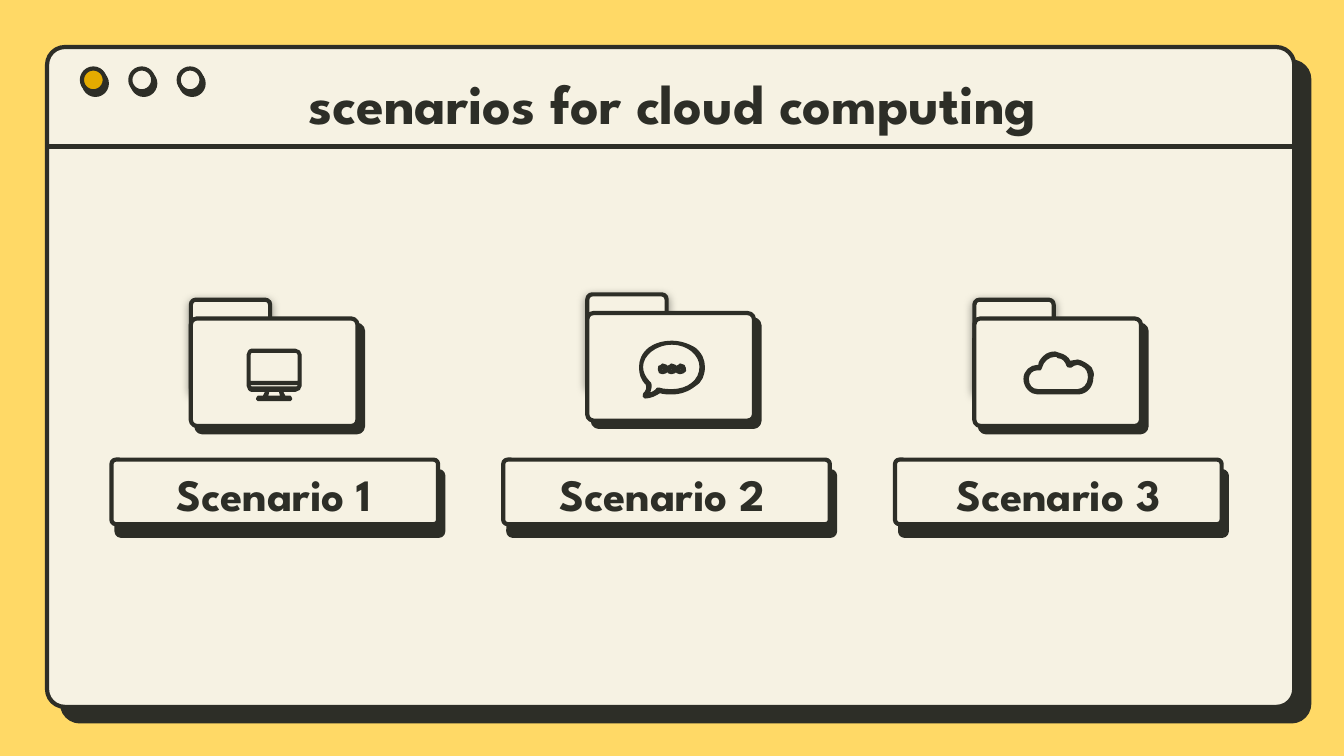
from lxml.etree import SubElement
from pptx import Presentation
from pptx.dml.color import RGBColor
from pptx.enum.shapes import MSO_CONNECTOR, MSO_SHAPE
from pptx.enum.text import MSO_ANCHOR, PP_ALIGN
from pptx.oxml.ns import qn
from pptx.util import Inches, Pt

YELLOW = RGBColor(0xFF, 0xD9, 0x66)
CREAM = RGBColor(0xF6, 0xF2, 0xE3)
INK = RGBColor(0x2D, 0x2E, 0x27)
AMBER = RGBColor(0xE4, 0xAB, 0x00)

COLS, ROWS = 100, 56.25
ICON_UNIT = 0.1

MONITOR = [
    [(36, 2), (37, 2, 38, 3, 38, 4), (38, 24), (2, 24), (2, 4), (2, 3, 3, 2, 3, 2)],
    [(38, 26), (38, 27), (38, 28, 37, 28, 36, 28), (3, 28), (3, 28, 2, 28, 2, 27), (2, 26)],
    [(24, 31), (25, 35), (15, 35), (16, 31)],
    [(3, 0), (2, 0, 0, 2, 0, 4), (0, 27), (0, 29, 2, 31, 3, 31), (14, 31), (12, 35),
     (8, 35), (8, 35, 7, 36, 7, 37), (7, 37, 8, 38, 8, 38), (32, 38),
     (32, 38, 33, 37, 33, 37), (33, 36, 32, 35, 32, 35), (28, 35), (26, 31), (36, 31),
     (38, 31, 40, 29, 40, 27), (40, 4), (40, 2, 38, 0, 36, 0)],
]
BUBBLE = [
    [(24, 2), (36, 2, 45, 10, 45, 19), (45, 29, 36, 36, 24, 36), (21, 36, 18, 36, 15, 35),
     (13, 35), (12, 37, 9, 38, 7, 39), (8, 36, 9, 33, 8, 31), (8, 31, 8, 30, 7, 30),
     (4, 27, 2, 23, 2, 19), (2, 10, 12, 2, 24, 2)],
    [(24, 0), (17, 0, 11, 2, 7, 5), (2, 9, 0, 14, 0, 19), (0, 24, 1, 28, 5, 32),
     (6, 35, 5, 37, 3, 39), (2, 40, 3, 42, 4, 42), (8, 42, 12, 40, 15, 38),
     (18, 39, 21, 39, 24, 39), (30, 39, 36, 37, 41, 33), (46, 30, 48, 25, 48, 19),
     (48, 14, 46, 9, 41, 5), (36, 2, 30, 0, 24, 0)],
]
CLOUD = [
    [(23, 3), (24, 3, 25, 3, 25, 4), (29, 4, 31, 7, 32, 10), (32, 11, 33, 11, 34, 11),
     (35, 11), (36, 10, 38, 9, 40, 9), (41, 9, 42, 10, 43, 10), (47, 12, 48, 15, 48, 19),
     (48, 24, 44, 28, 40, 28), (10, 28), (6, 28, 3, 25, 3, 20), (3, 16, 6, 13, 10, 13),
     (12, 13), (12, 13, 13, 12, 13, 11), (14, 7, 18, 3, 23, 3)],
    [(23, 0), (20, 0, 17, 1, 15, 3), (13, 5, 11, 7, 11, 10), (10, 10), (5, 10, 0, 14, 0, 20),
     (0, 26, 5, 31, 10, 31), (40, 31), (46, 31, 51, 26, 51, 19), (52, 16, 51, 14, 50, 12),
     (48, 10, 47, 9, 45, 8), (43, 7, 41, 6, 40, 6), (38, 6, 36, 7, 34, 7),
     (33, 4, 30, 2, 26, 1), (25, 0, 24, 0, 23, 0)],
]
DOT = [
    [(3, 3), (4, 3, 5, 4, 4, 4), (4, 5, 4, 5, 3, 5), (3, 5, 2, 4, 2, 4), (2, 3, 3, 3, 3, 3)],
    [(3, 0), (3, 0, 2, 1, 2, 1), (0, 1, 0, 2, 0, 4), (0, 6, 1, 7, 3, 7),
     (5, 7, 6, 6, 7, 5), (7, 4, 7, 2, 6, 1), (5, 1, 4, 0, 3, 0)],
]

SCENARIOS = [
    ("Scenario 1", (10.8, 33.8, 19.2, 5.8), (14.2, 22.3), [(MONITOR, 18.4, 26)]),
    ("Scenario 2", (38.6, 33.7, 21.4, 6), (43.7, 21.9),
     [(BUBBLE, 47.6, 25.4)] + [(DOT, 49 + 0.65 * i, 27.1) for i in range(3)]),
    ("Scenario 3", (68.2, 33.7, 21.1, 6), (72.5, 22.3), [(CLOUD, 76.2, 26.2)]),
]


class Deck:
    """Hold the style and the current slide, and draw on a grid of columns and rows."""

    def __init__(self):
        self.prs = Presentation()
        self.prs.slide_width, self.prs.slide_height = Inches(10), Inches(5.625)
        self.col = self.prs.slide_width / COLS
        self.row = self.prs.slide_height / ROWS
        self.s = self.prs.slides.add_slide(self.prs.slide_layouts[6])
        self.s.background.fill.solid()
        self.s.background.fill.fore_color.rgb = YELLOW

    def grid(self, *lengths):
        """Turn alternating columns and rows into slide lengths."""
        return [round(n * (self.row if i % 2 else self.col)) for i, n in enumerate(lengths)]

    def paint(self, sp, fill, width=2.25):
        """Fill and outline a shape without a shadow."""
        sp.fill.solid()
        sp.fill.fore_color.rgb = fill
        sp.line.color.rgb = INK
        sp.line.width = Pt(width)
        sp.shadow.inherit = False

    def panel(self, box, dist, angle, adj=None, fill=CREAM, blur=0, alpha=100):
        """Draw a rounded panel, or a circle when no corner is given, with its shadow."""
        kind = MSO_SHAPE.OVAL if adj is None else MSO_SHAPE.ROUNDED_RECTANGLE
        sp = self.s.shapes.add_shape(kind, *self.grid(*box))
        if adj is not None:
            sp.adjustments[0] = adj
        self.paint(sp, fill)
        effects = sp._element.spPr.find(qn("a:effectLst"))
        shadow = SubElement(effects, qn("a:outerShdw"), blurRad=str(Pt(blur)),
                            dist=str(Pt(dist)), dir=str(angle * 60000),
                            algn="bl", rotWithShape="0")
        color = SubElement(shadow, qn("a:srgbClr"), val=str(INK))
        SubElement(color, qn("a:alpha"), val=str(alpha * 1000))

    def rule(self, x1, y1, x2, y2):
        """Draw a straight line."""
        line = self.s.shapes.add_connector(MSO_CONNECTOR.STRAIGHT, *self.grid(x1, y1, x2, y2))
        line.line.color.rgb = INK
        line.line.width = Pt(2.25)
        SubElement(line._element.spPr, qn("a:effectLst"))

    def text(self, words, box, size, anchor=MSO_ANCHOR.MIDDLE):
        """Place a centred bold heading."""
        tf = self.s.shapes.add_textbox(*self.grid(*box)).text_frame
        frame = {"word_wrap": True, "vertical_anchor": anchor}
        frame.update({f"margin_{side}": Inches(0.1) for side in ("left", "top", "right", "bottom")})
        for name, value in frame.items():
            setattr(tf, name, value)
        p = tf.paragraphs[0]
        p.alignment = PP_ALIGN.CENTER
        r = p.add_run()
        r.text = words
        for name, value in {"name": "League Spartan", "size": Pt(size), "bold": True}.items():
            setattr(r.font, name, value)
        r.font.color.rgb = INK

    def folder(self, x, y):
        """Draw a folder: the tab behind, the front over it."""
        self.panel((x, y, 5.9, 6.9), 1.5, 90, adj=0.063, blur=4.5, alpha=50)
        self.panel((x, y + 1.4, 12.4, 8), 4.5, 49, adj=0.058)

    def icon(self, contours, x, y):
        """Draw an icon from closed contours, bending the six-number segments into curves."""
        builder = self.s.shapes.build_freeform(*contours[0][0], scale=self.col * ICON_UNIT)
        for i, contour in enumerate(contours):
            if i:
                builder.move_to(*contour[0])
            builder.add_line_segments([seg[-2:] for seg in contour[1:]], close=True)
        sp = builder.convert_to_shape(*self.grid(x, y))
        segments = [seg for contour in contours for seg in contour[1:]]
        for node, seg in zip(list(sp._element.iter(qn("a:lnTo"))), segments):
            if len(seg) == 6:
                curve = SubElement(node.getparent(), qn("a:cubicBezTo"))
                for px, py in zip(seg[::2], seg[1::2]):
                    SubElement(curve, qn("a:pt"), x=str(px), y=str(py))
                node.getparent().replace(node, curve)
        self.paint(sp, INK, 0.75)


def main():
    deck = Deck()
    deck.panel((3.5, 3.5, 92.8, 49.1), 11.2, 44, adj=0.027)
    deck.rule(96.4, 10.9, 3.6, 10.9)
    for i, fill in enumerate((AMBER, CREAM, CREAM)):
        deck.panel((6.1 + 3.6 * i, 5.1, 1.7, 1.7), 2.2, 60, fill=fill)
    deck.text("scenarios for cloud computing", (7.9, 5.8, 84.3, 5.3), 30, MSO_ANCHOR.BOTTOM)
    for i, (label, label_box, folder, icons) in enumerate(SCENARIOS):
        deck.panel((8.3 + 29.15 * i, 34.2, 24.3, 4.8), 6.8, 66, adj=0.067)
        deck.text(label, label_box, 24)
        deck.folder(*folder)
        for icon in icons:
            deck.icon(*icon)
    deck.prs.save("out.pptx")


if __name__ == "__main__":
    main()
